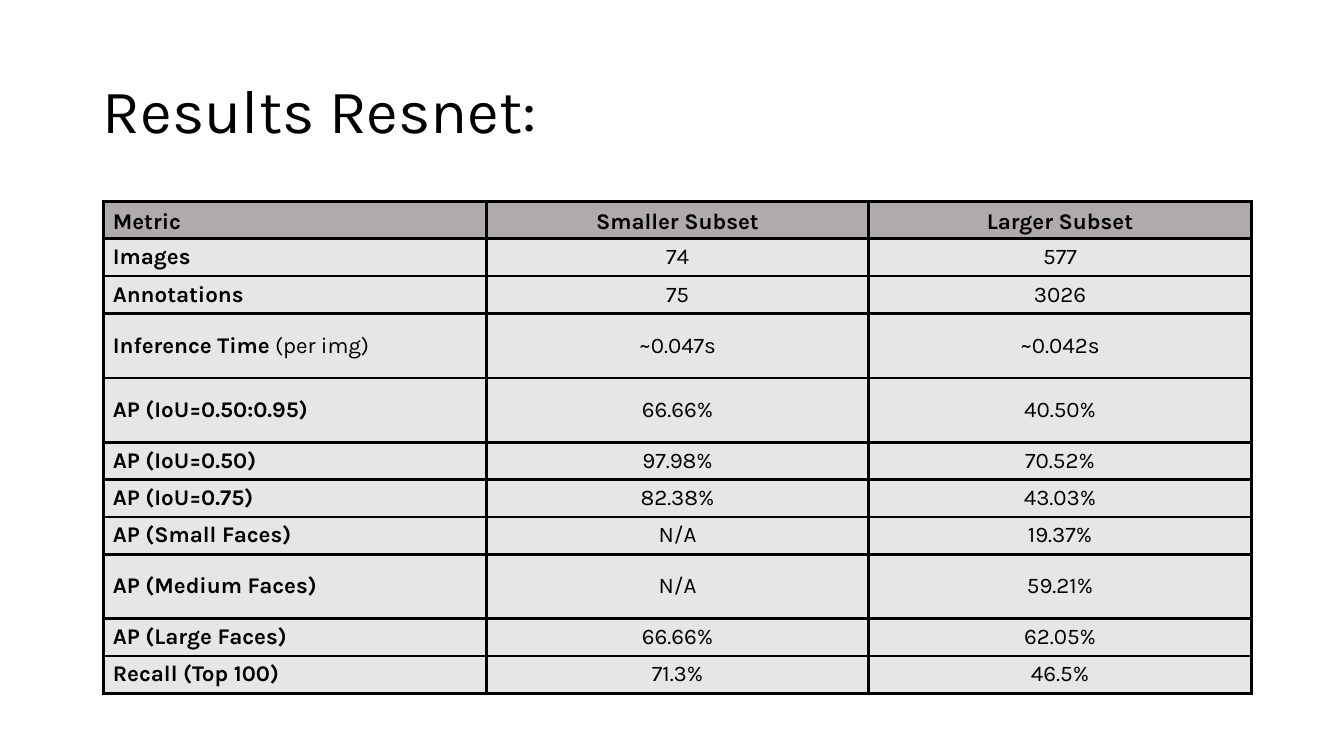
from lxml.etree import SubElement
from pptx import Presentation
from pptx.dml.color import RGBColor
from pptx.enum.text import MSO_ANCHOR, PP_ALIGN
from pptx.oxml.ns import qn
from pptx.util import Inches, Pt

# Content
TITLE = "Results Resnet:"
HEAD = ("Metric", "Smaller Subset", "Larger Subset")
ROWS = [
    ("Images", "74", "577"),
    ("Annotations", "75", "3026"),
    ("Inference Time| (per img)", "~0.047s", "~0.042s"),
    ("AP (IoU=0.50:0.95)", "66.66%", "40.50%"),
    ("AP (IoU=0.50)", "97.98%", "70.52%"),
    ("AP (IoU=0.75)", "82.38%", "43.03%"),
    ("AP (Small Faces)", "N/A", "19.37%"),
    ("AP (Medium Faces)", "N/A", "59.21%"),
    ("AP (Large Faces)", "66.66%", "62.05%"),
    ("Recall (Top 100)", "71.3%", "46.5%"),
]
TALL = {3, 4, 8}

# Style
FONT = "Karla"
BLACK = RGBColor(0x00, 0x00, 0x00)
GRAY = RGBColor(0xAF, 0xAB, 0xAB)
PALE = RGBColor(0xE7, 0xE6, 0xE6)
LEFT, TOP, WIDTH = 1.03, 2, 11.38
LOW, HIGH = 0.37, 0.64


def write(frame, text, size=16, bold=False, align=PP_ALIGN.LEFT):
    """Fill a text frame; any part after a bar is set in regular weight."""
    para = frame.paragraphs[0]
    para.alignment = align
    for i, part in enumerate(text.split("|")):
        run = para.add_run()
        run.text = part
        font = run.font
        font.name, font.size = FONT, Pt(size)
        font.bold = bold and i == 0
        font.color.rgb = BLACK
    return para


def border(cell, width=2.25):
    props = cell._tc.get_or_add_tcPr()
    for side in ("a:lnL", "a:lnR", "a:lnT", "a:lnB"):
        line = SubElement(props, qn(side), w=str(Pt(width)))
        fill = SubElement(line, qn("a:solidFill"))
        SubElement(fill, qn("a:srgbClr"), val=str(BLACK))


# Slide
deck = Presentation()
deck.slide_width, deck.slide_height = Inches(13.33), Inches(7.5)
slide = deck.slides.add_slide(deck.slide_layouts[5])

# Title
title = slide.shapes.title
title.left, title.top = Inches(0.92), Inches(0.4)
title.width, title.height = Inches(11.5), Inches(1.45)
title.text_frame.vertical_anchor = MSO_ANCHOR.MIDDLE
write(title.text_frame, TITLE, size=44).line_spacing = 0.9

# Table
data = [HEAD] + ROWS
sizes = [HIGH if r in TALL else LOW for r in range(len(data))]
table = slide.shapes.add_table(
    len(data), len(HEAD), Inches(LEFT), Inches(TOP),
    Inches(WIDTH), Inches(sum(sizes))).table
for col in table.columns:
    col.width = Inches(WIDTH / len(HEAD))
for r, (row, size) in enumerate(zip(data, sizes)):
    table.rows[r].height = Inches(size)
    for c, text in enumerate(row):
        cell = table.cell(r, c)
        border(cell)
        cell.fill.solid()
        cell.fill.fore_color.rgb = PALE if r else GRAY
        cell.margin_left = cell.margin_right = Inches(0.09)
        cell.margin_top = cell.margin_bottom = Inches(0.04)
        cell.vertical_anchor = MSO_ANCHOR.MIDDLE if r else MSO_ANCHOR.BOTTOM
        write(cell.text_frame, text, bold=r == 0 or c == 0,
              align=PP_ALIGN.CENTER if c else PP_ALIGN.LEFT)

deck.save("out.pptx")
